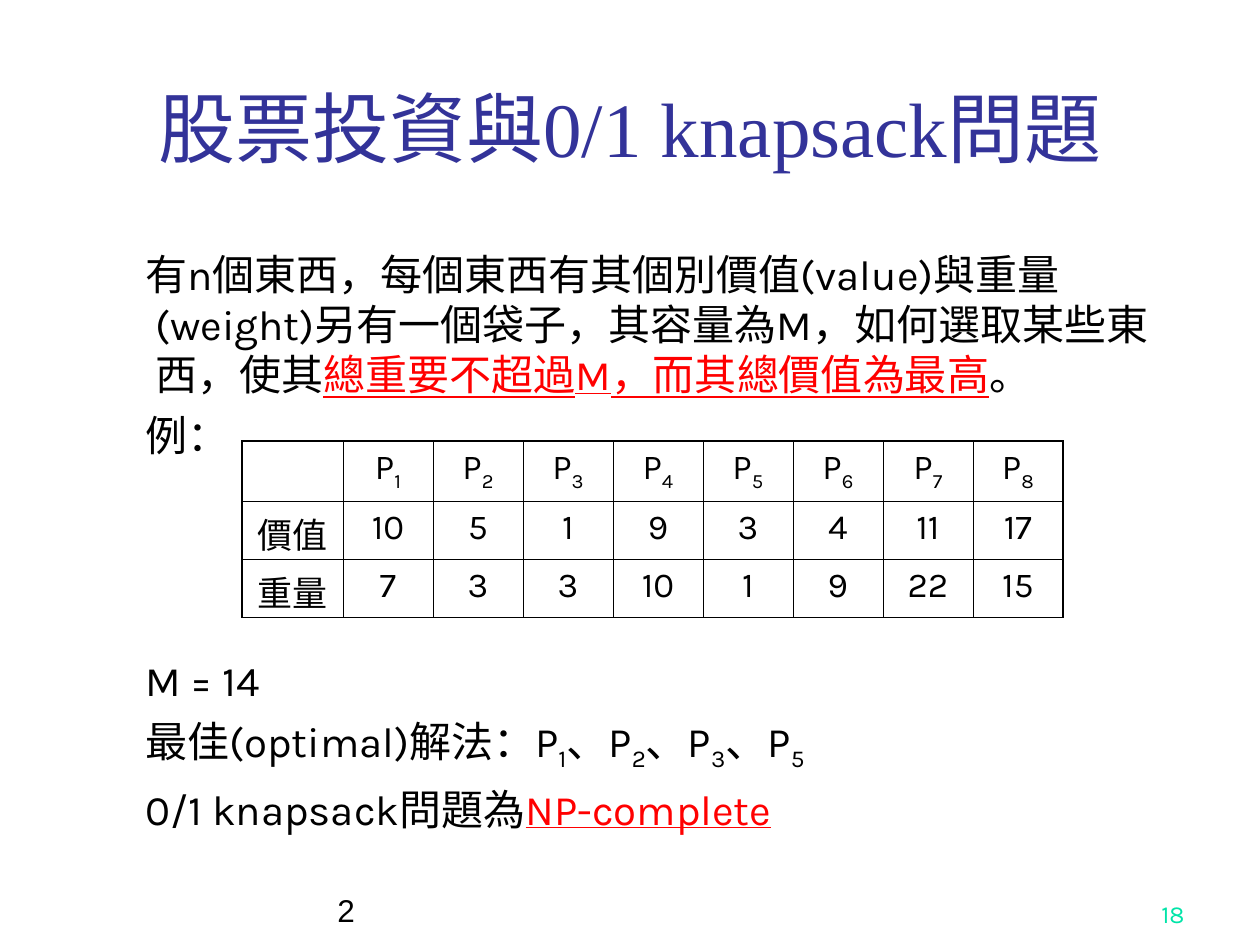
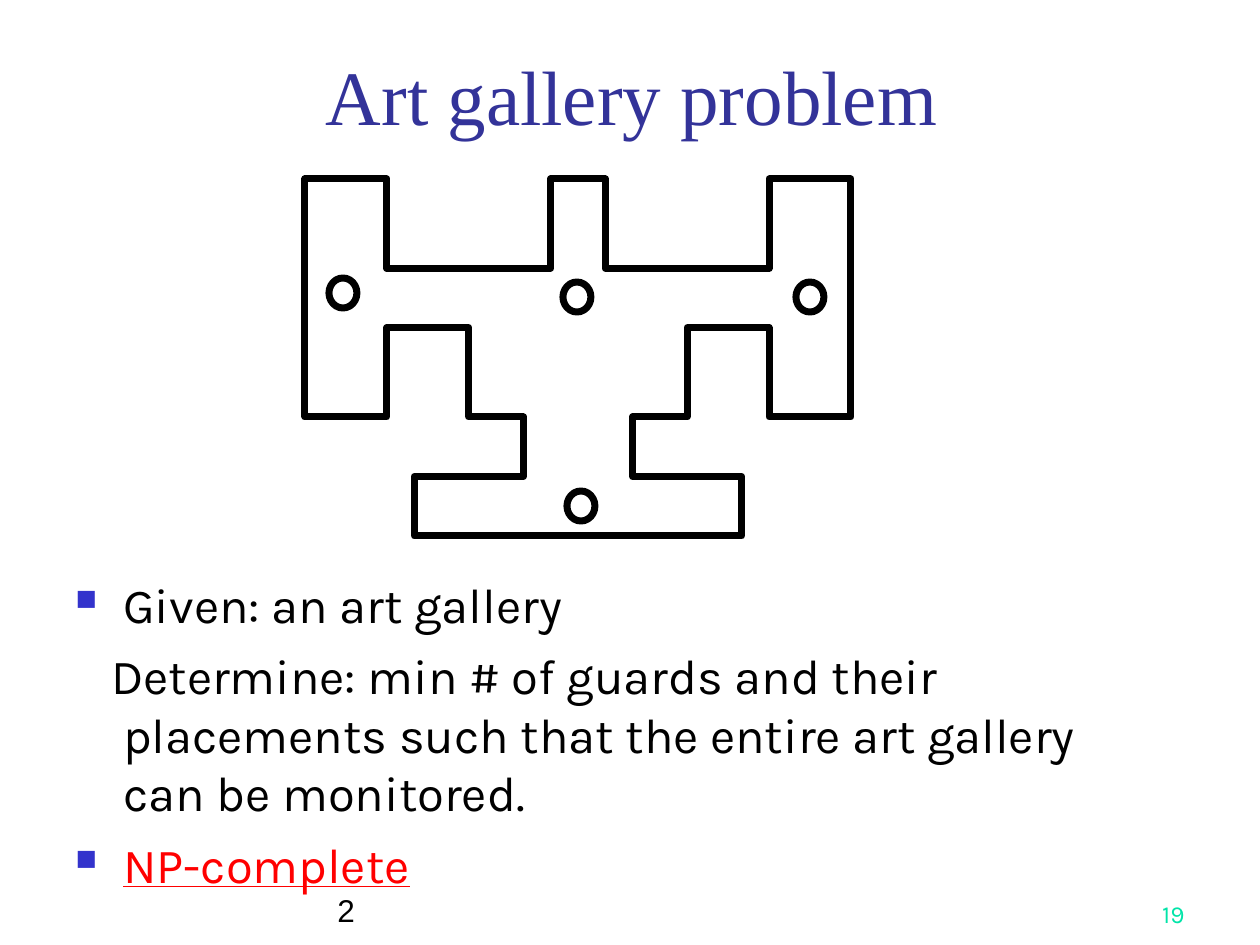
import lxml.etree
import pptx
import pptx.dml.color
import pptx.enum.shapes
import pptx.enum.text
import pptx.oxml
import pptx.oxml.ns
import pptx.util

RGBColor = pptx.dml.color.RGBColor
ALIGN = pptx.enum.text.PP_ALIGN
ANCHOR = pptx.enum.text.MSO_ANCHOR
qn = pptx.oxml.ns.qn

PX = 914400 / 126
BLACK = RGBColor(0x00, 0x00, 0x00)
RED = RGBColor(0xFF, 0x00, 0x00)
TITLE_BLUE = RGBColor(0x33, 0x33, 0x99)
BULLET_BLUE = RGBColor(0x33, 0x33, 0xCC)
NUMBER_GREEN = RGBColor(0x00, 0xE4, 0xA8)

BODY_FONT = "Karla"
TITLE_FONT = "Times New Roman"
FOOTER_FONT = "Arial"
HANG = 48
KEY = {"color": RED, "underline": True}
SUB = {"subscript": True}
THIN, THICK = 0.45, 1.08


def px(n):
    return pptx.util.Emu(round(n * PX))


def add_run(p, text, size, font=BODY_FONT, color=BLACK, underline=False, subscript=False):
    r = p.add_run()
    r.text = text
    r.font.size = pptx.util.Pt(size)
    r.font.name = font
    r.font.color.rgb = color
    if underline:
        r.font.underline = True
    if subscript:
        r._r.get_or_add_rPr().set("baseline", "-25000")


def add_box(slide, box, anchor=ANCHOR.TOP):
    tf = slide.shapes.add_textbox(*map(px, box)).text_frame
    tf.word_wrap = True
    tf.vertical_anchor = anchor
    return tf


def add_line(slide, box, text, size, align=ALIGN.LEFT, **style):
    """One bottom-anchored line of text, as titles and footers have."""
    p = add_box(slide, box, ANCHOR.BOTTOM).paragraphs[0]
    p.alignment = align
    add_run(p, text, size, **style)


def add_title(slide, box, text):
    add_line(slide, box, text, 44, ALIGN.CENTER, font=TITLE_FONT, color=TITLE_BLUE)


def add_footer(slide, number):
    add_line(slide, (325, 872, 672, 63), "2", 18, font=FOOTER_FONT)
    add_line(slide, (935, 872, 262, 63), str(number), 14, ALIGN.RIGHT, color=NUMBER_GREEN)


def add_bullet(p):
    pPr = p._p.get_or_add_pPr()
    color = lxml.etree.SubElement(pPr, qn("a:buClr"))
    lxml.etree.SubElement(color, qn("a:srgbClr"), val=str(BULLET_BLUE))
    lxml.etree.SubElement(pPr, qn("a:buSzPct"), val="60000")
    lxml.etree.SubElement(pPr, qn("a:buChar"), char="■")


def add_body(slide, box, size, paragraphs):
    """Each paragraph is (space before, first-line outdent, bulleted, runs)."""
    tf = add_box(slide, box)
    for i, (before, outdent, bulleted, runs) in enumerate(paragraphs):
        p = tf.add_paragraph() if i else tf.paragraphs[0]
        pPr = p._p.get_or_add_pPr()
        pPr.set("marL", str(px(HANG)))
        pPr.set("indent", str(-px(outdent)))
        if bulleted:
            add_bullet(p)
        if i:
            p.space_before = pptx.util.Pt(before)
        for text, style in runs:
            add_run(p, text, size, **style)


def item_runs(number, lead=""):
    return [(lead + "P", {}), (str(number), SUB)]


def set_borders(cell, widths):
    tcPr = cell._tc.get_or_add_tcPr()
    for side, width in zip("LRTB", widths):
        ln = lxml.etree.SubElement(tcPr, qn("a:ln" + side), w=str(pptx.util.Pt(width)))
        fill = lxml.etree.SubElement(ln, qn("a:solidFill"))
        lxml.etree.SubElement(fill, qn("a:srgbClr"), val=str(BLACK))


def add_items_table(slide, box, values, weights):
    label_width, item_width, row_heights = 101, 90, (60, 58, 58)
    rows = [[[]] + [item_runs(n + 1) for n in range(len(values))]]
    for label, numbers in (("價值", values), ("重量", weights)):
        rows.append([[(str(entry), {})] for entry in [label, *numbers]])
    last_row, last_col = len(rows) - 1, len(values)

    table = slide.shapes.add_table(last_row + 1, last_col + 1, *map(px, box)).table
    table.first_row = table.horz_banding = False
    for c, column in enumerate(table.columns):
        column.width = px(item_width if c else label_width)
    for r, entries in enumerate(rows):
        table.rows[r].height = px(row_heights[r])
        for c, runs in enumerate(entries):
            cell = table.cell(r, c)
            edges = (c == 0, c == last_col, r == 0, r == last_row)
            set_borders(cell, [THICK if edge else THIN for edge in edges])
            cell.fill.background()
            p = cell.text_frame.paragraphs[0]
            p.alignment = ALIGN.CENTER
            for text, style in runs:
                add_run(p, text, 20, **style)


def outline(sp):
    sp.shadow.inherit = False
    sp.fill.background()
    sp.line.color.rgb = BLACK
    sp.line.width = pptx.util.Pt(4)
    lxml.etree.SubElement(sp.line._get_or_add_ln(), qn("a:round"))


def add_gallery(slide, box):
    """Floor plan on a 20 by 12 grid, symmetric about its middle column."""
    left, top, width, height = box
    columns, rows = 20, 12
    left_half = [(9, 0), (9, 3), (3, 3), (3, 0), (0, 0), (0, 8), (3, 8), (3, 5),
                 (6, 5), (6, 8), (8, 8), (8, 10), (4, 10), (4, 12)]
    right_half = [(columns - x, y) for x, y in reversed(left_half)]
    corners = left_half + right_half
    shapes = slide.shapes.add_group_shape().shapes
    builder = shapes.build_freeform(
        *corners[0], scale=(px(width) / columns, px(height) / rows))
    builder.add_line_segments(corners[1:], close=True)
    outline(builder.convert_to_shape(px(left), px(top)))
    for x, y in ((262, 312), (258, 103), (24, 99), (491, 103)):
        guard = shapes.add_shape(pptx.enum.shapes.MSO_SHAPE.OVAL,
                                 px(left + x), px(top + y), px(28), px(30))
        outline(guard)


def build_knapsack(slide):
    add_title(slide, (105, 73, 1050, 106), "股票投資與0/1 knapsack問題")
    solution = [("最佳(optimal)解法：", {})]
    for i, number in enumerate((1, 2, 3, 5)):
        solution += item_runs(number, "、" if i else "")
    statement = [
        ("有n個東西，每個東西有其個別價值(value)與重量(weight)"
         "另有一個袋子，其容量為M，如何選取某些東西，使其", {}),
        ("總重要不超過M，而其總價值為最高", KEY),
        ("。", {}),
    ]
    add_body(slide, (95, 242, 1092, 598), 24, [
        (0, 10, False, statement),
        (6, 10, False, [("例：", {})]),
        (111, 10, False, [("M = 14", {})]),
        (6, 10, False, solution),
        (6, 10, False, [("0/1 knapsack問題為", {}), ("NP-complete", KEY)]),
    ])
    add_items_table(slide, (242, 441, 821, 176),
                    values=(10, 5, 1, 9, 3, 4, 11, 17),
                    weights=(7, 3, 3, 10, 1, 9, 22, 15))


def build_art_gallery(slide):
    add_body(slide, (63, 568, 1071, 345), 28, [
        (0, HANG, True, [("Given: an art gallery", {})]),
        (7, 12, False, [("Determine: min # of guards and their placements such that "
                         "the entire art gallery can be monitored.", {})]),
        (7, HANG, True, [("NP-complete", KEY)]),
    ])
    add_title(slide, (95, 42, 1074, 105), "Art gallery problem")
    add_gallery(slide, (305, 179, 546, 357))


def main():
    prs = pptx.Presentation()
    prs.slide_width, prs.slide_height = px(1260), px(945)
    for number, build in enumerate((build_knapsack, build_art_gallery), start=18):
        slide = prs.slides.add_slide(prs.slide_layouts[6])
        build(slide)
        add_footer(slide, number)
    prs.save("out.pptx")


if __name__ == "__main__":
    main()
